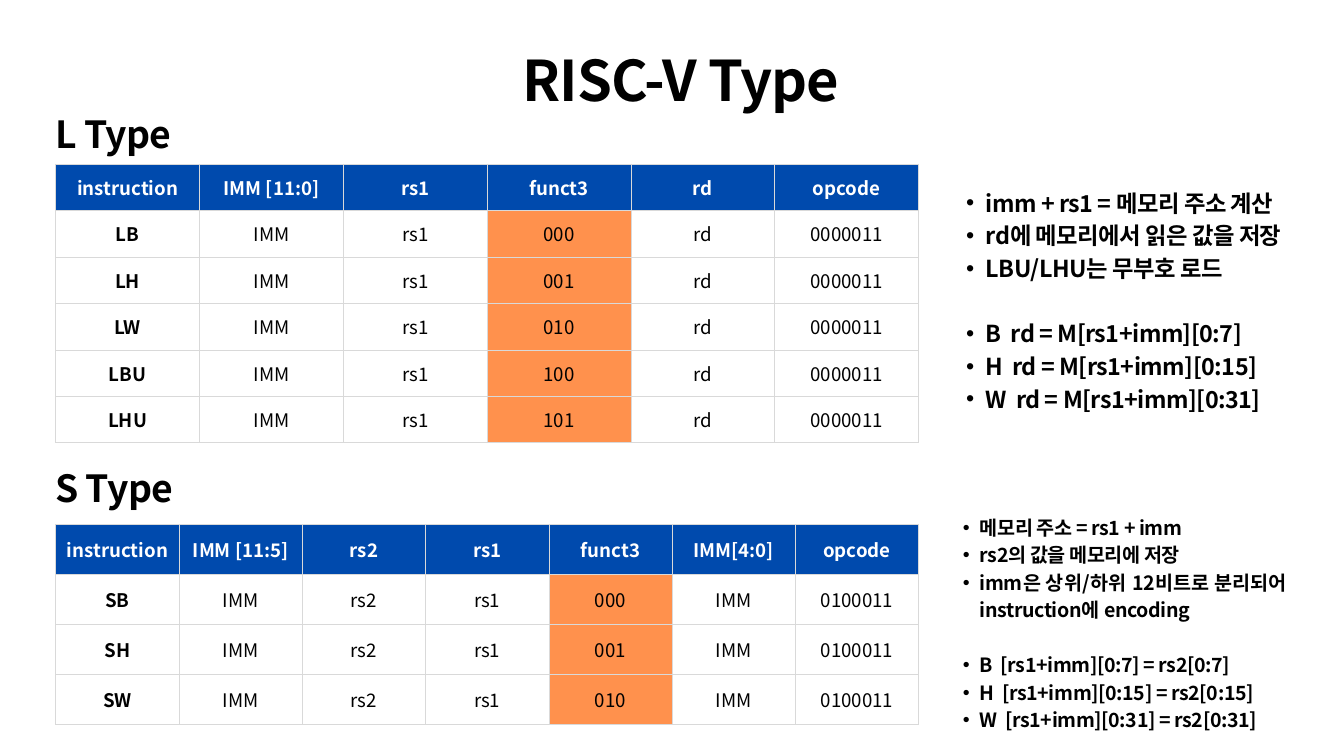
from lxml.etree import SubElement
from pptx import Presentation
from pptx.dml.color import RGBColor
from pptx.enum.text import MSO_ANCHOR, MSO_AUTO_SIZE, PP_ALIGN
from pptx.oxml.ns import qn
from pptx.util import Inches, Pt

FONT = "Noto Sans CJK KR"
BLACK = RGBColor(0x00, 0x00, 0x00)
WHITE = RGBColor(0xFF, 0xFF, 0xFF)
BLUE = RGBColor(0x00, 0x4A, 0xAD)
ORANGE = RGBColor(0xFF, 0x91, 0x4D)
GRID = RGBColor(0xD9, 0xD9, 0xD9)

LEFT = 0.83
NOTES_LEFT = 14.08
TABLE_WIDTH = 12.84

L_HEADER = ["instruction", "IMM [11:0]", "rs1", "funct3", "rd", "opcode"]
L_CODES = {"LB": "000", "LH": "001", "LW": "010", "LBU": "100", "LHU": "101"}
S_HEADER = ["instruction", "IMM [11:5]", "rs2", "rs1", "funct3", "IMM[4:0]", "opcode"]
S_CODES = {"SB": "000", "SH": "001", "SW": "010"}

# Each inner list is a group, set apart by one empty line's height
L_NOTES = [
    ["imm + rs1 = 메모리 주소 계산", "rd에 메모리에서 읽은 값을 저장", "LBU/LHU는 무부호 로드"],
    ["B  rd = M[rs1+imm][0:7]", "H  rd = M[rs1+imm][0:15]", "W  rd = M[rs1+imm][0:31]"],
]
S_NOTES = [
    ["메모리 주소 = rs1 + imm", "rs2의 값을 메모리에 저장",
     "imm은 상위/하위 12비트로 분리되어instruction에 encoding"],
    ["B  [rs1+imm][0:7] = rs2[0:7]", "H  [rs1+imm][0:15] = rs2[0:15]",
     "W  [rs1+imm][0:31] = rs2[0:31]"],
]


def format_runs(paragraph, size, color=BLACK, bold=True, tracking=0):
    for run in paragraph.runs:
        run.font.size = Pt(size)
        run.font.bold = bold
        run.font.name = FONT
        run.font.color.rgb = color
        properties = run.font._element
        SubElement(properties, qn("a:ea")).set("typeface", FONT)
        if tracking:
            properties.set("spc", str(tracking))


def format_line(paragraph, size, align):
    """Body text has 1.4 line pitch and 2 % tighter letters."""
    paragraph.alignment = align
    paragraph.line_spacing = Pt(size * 1.4)
    format_runs(paragraph, size, tracking=round(-2 * size))


def add_frame(slide, left, top, width, height):
    box = slide.shapes.add_textbox(Inches(left), Inches(top), Inches(width), Inches(height))
    frame = box.text_frame
    frame.word_wrap = True
    frame.auto_size = MSO_AUTO_SIZE.SHAPE_TO_FIT_TEXT
    frame.margin_left = frame.margin_right = frame.margin_top = frame.margin_bottom = 0
    return frame


def add_heading(slide, text, left, top, width, height, size):
    frame = add_frame(slide, left, top, width, height)
    frame.text = text
    format_line(frame.paragraphs[0], size, PP_ALIGN.JUSTIFY)


def add_notes(slide, groups, top, width, height, size, indent, align):
    frame = add_frame(slide, NOTES_LEFT, top, width, height)
    frame.text = "\n".join(note for group in groups for note in group)
    group_starts = [group[0] for group in groups[1:]]
    for paragraph in frame.paragraphs:
        paragraph.level = 1
        properties = paragraph._p.get_or_add_pPr()
        properties.set("marL", str(Inches(indent)))
        properties.set("indent", str(-Inches(indent / 2)))
        SubElement(properties, qn("a:buFont")).set("typeface", "Arial")
        SubElement(properties, qn("a:buChar")).set("char", "•")
        format_line(paragraph, size, align)
        if paragraph.text in group_starts:
            paragraph.space_before = Pt(size * 1.4)


def set_borders(cell):
    properties = cell._tc.get_or_add_tcPr()
    for side in ("lnL", "lnR", "lnT", "lnB"):
        line = SubElement(properties, qn(f"a:{side}"), w=str(Pt(0.75)))
        fill = SubElement(line, qn("a:solidFill"))
        SubElement(fill, qn("a:srgbClr"), val=str(GRID))


def fill_cell(cell, text, background, color, bold):
    set_borders(cell)
    cell.fill.solid()
    cell.fill.fore_color.rgb = background
    cell.vertical_anchor = MSO_ANCHOR.MIDDLE
    cell.text = text
    paragraph = cell.text_frame.paragraphs[0]
    paragraph.alignment = PP_ALIGN.CENTER
    format_runs(paragraph, 20, color, bold)


def instruction_rows(header, codes, opcode):
    """Fields repeat their column's name, without its bit range."""
    for name, funct3 in codes.items():
        special = {"instruction": name, "funct3": funct3, "opcode": opcode}
        yield [special.get(field, field.split("[")[0].strip()) for field in header]


def add_instruction_table(slide, header, codes, opcode, top, height):
    rows = [header, *instruction_rows(header, codes, opcode)]
    table = slide.shapes.add_table(
        len(rows), len(header), Inches(LEFT), Inches(top),
        Inches(TABLE_WIDTH), Inches(height)).table
    for r, row in enumerate(rows):
        for c, text in enumerate(row):
            if r == 0:
                background, color = BLUE, WHITE
            else:
                background = ORANGE if header[c] == "funct3" else WHITE
                color = BLACK
            fill_cell(table.cell(r, c), text, background, color, bold=r == 0 or c == 0)


def main():
    presentation = Presentation()
    presentation.slide_width = Inches(20)
    presentation.slide_height = Inches(11.25)
    slide = presentation.slides.add_slide(presentation.slide_layouts[6])

    # Title
    add_heading(slide, "RISC-V Type", 7.78, 0.51, 4.81, 1.11, 60)

    # Load instructions
    add_heading(slide, "L Type", LEFT, 1.55, 4.43, 0.73, 40)
    add_instruction_table(slide, L_HEADER, L_CODES, "0000011", 2.44, 4.15)
    add_notes(slide, L_NOTES, 2.74, 5.35, 3.81, 25, 0.59, PP_ALIGN.LEFT)

    # Store instructions
    add_heading(slide, "S Type", LEFT, 6.81, 4.43, 0.73, 40)
    add_instruction_table(slide, S_HEADER, S_CODES, "0100011", 7.8, 2.98)
    add_notes(slide, S_NOTES, 7.62, 5.07, 3.64, 21, 0.5, PP_ALIGN.JUSTIFY)

    presentation.save("out.pptx")


if __name__ == "__main__":
    main()
